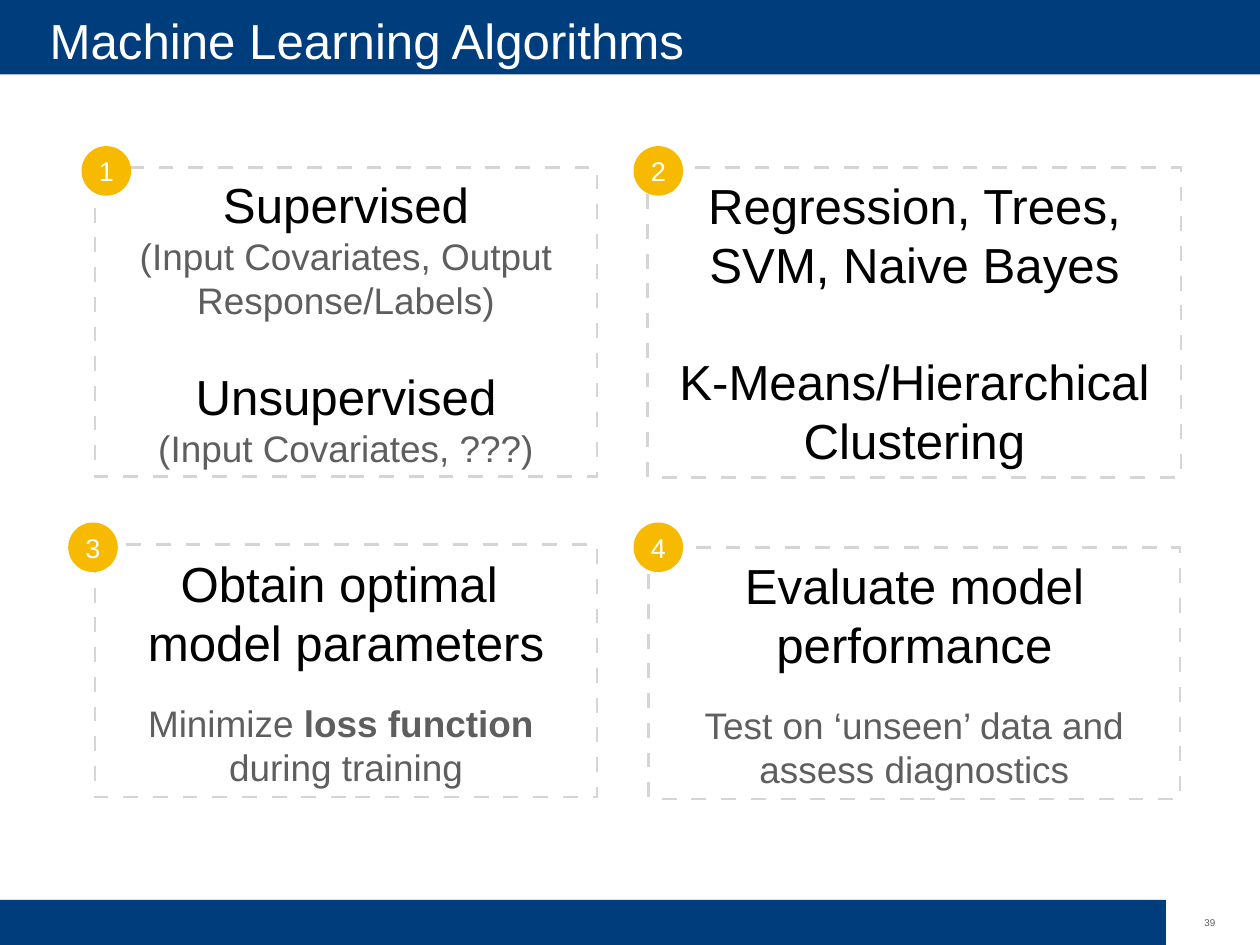
from dataclasses import dataclass
from typing import Optional

from lxml.etree import SubElement
from pptx import Presentation
from pptx.dml.color import RGBColor
from pptx.enum.shapes import MSO_SHAPE as Preset
from pptx.enum.text import MSO_ANCHOR as Anchor, PP_ALIGN as Align
from pptx.oxml.ns import qn
from pptx.shapes.autoshape import Shape
from pptx.slide import Slide
from pptx.text.text import TextFrame
from pptx.util import Inches, Pt

NAVY = RGBColor(0x00, 0x3D, 0x7C)
GOLD = RGBColor(0xF7, 0xBA, 0x01)
WHITE = RGBColor(0xFF, 0xFF, 0xFF)
BLACK = RGBColor(0x00, 0x00, 0x00)
GREY = RGBColor(0x5E, 0x5E, 0x5E)
PALE_GREY = RGBColor(0xD6, 0xD5, 0xD5)

FONT = "Arial"
HEADING_SIZE, DETAIL_SIZE = 40, 30
LINE_FACTOR = 1.2
BADGE_SIZE = 0.56


@dataclass(frozen=True)
class Line:
    text: str
    detail: bool = False
    gap: float = 0
    bold_tail: str = ""


@dataclass(frozen=True)
class Panel:
    left: float
    top: float
    width: float
    height: float
    badge_left: float
    badge_top: float
    lines: tuple[Line, ...]


PANELS = (
    Panel(1.07, 1.89, 5.67, 3.49, 0.92, 1.65, (
        Line("Supervised"),
        Line("(Input Covariates, Output Response/Labels)", detail=True),
        Line("Unsupervised", gap=36),
        Line("(Input Covariates, ???)", detail=True),
    )),
    Panel(7.31, 1.89, 6.02, 3.5, 7.15, 1.65, (
        Line("Regression, Trees, SVM, Naive Bayes"),
        Line("K-Means/Hierarchical Clustering", gap=47),
    )),
    Panel(1.07, 6.15, 5.67, 2.85, 0.77, 5.9, (
        Line("Obtain optimal "),
        Line("model parameters"),
        Line("Minimize ", detail=True, gap=24, bold_tail="loss function "),
        Line("during training", detail=True),
    )),
    Panel(7.32, 6.18, 6, 2.84, 7.15, 5.9, (
        Line("Evaluate model performance"),
        Line("Test on ‘unseen’ data and assess diagnostics", detail=True, gap=24),
    )),
)


def set_up_frame(frame: TextFrame, anchor: Anchor, wrap: bool = True,
                 side_margin: float = 0.06) -> None:
    frame.word_wrap = wrap
    frame.vertical_anchor = anchor
    frame.margin_left = frame.margin_right = Inches(side_margin)
    frame.margin_top = frame.margin_bottom = Inches(0.06)


def add_text(frame: TextFrame, text: str, *, size: float, color: RGBColor,
             align: Align = Align.CENTER, gap: float = 0, bold_tail: str = "",
             line_height: Optional[float] = None):
    """Fill the frame's empty first paragraph, or append a new one."""
    first = frame.paragraphs[0]
    paragraph = frame.add_paragraph() if first.runs else first
    paragraph.alignment = align
    if gap:
        paragraph.space_before = Pt(gap)
    if line_height:
        paragraph.line_spacing = Pt(line_height)
    for part, bold in ((text, False), (bold_tail, True)):
        if part:
            run = paragraph.add_run()
            run.text = part
            run.font.name = FONT
            run.font.size = Pt(size)
            run.font.bold = bold
            run.font.color.rgb = color
    return paragraph


def add_block(slide: Slide, preset: Preset, left: float, top: float,
              width: float, height: float, fill: Optional[RGBColor] = None) -> Shape:
    block = slide.shapes.add_shape(
        preset, Inches(left), Inches(top), Inches(width), Inches(height))
    block.shadow.inherit = False
    block.line.fill.background()
    if fill is None:
        block.fill.background()
    else:
        block.fill.solid()
        block.fill.fore_color.rgb = fill
    set_up_frame(block.text_frame, Anchor.MIDDLE)
    return block


def add_dashed_outline(block: Shape) -> None:
    block.line.color.rgb = PALE_GREY
    block.line.width = Pt(2)
    outline = block.line._get_or_add_ln()
    dashes = SubElement(outline, qn("a:custDash"))
    SubElement(dashes, qn("a:ds"), d="600000", sp="600000")
    SubElement(outline, qn("a:miter"), lim="400000")


def add_panel(slide: Slide, number: int, panel: Panel) -> None:
    box = add_block(slide, Preset.RECTANGLE,
                    panel.left, panel.top, panel.width, panel.height)
    add_dashed_outline(box)
    for line in panel.lines:
        size = DETAIL_SIZE if line.detail else HEADING_SIZE
        add_text(box.text_frame, line.text, size=size,
                 color=GREY if line.detail else BLACK, gap=line.gap,
                 bold_tail=line.bold_tail, line_height=size * LINE_FACTOR)
    badge = add_block(slide, Preset.OVAL, panel.badge_left, panel.badge_top,
                      BADGE_SIZE, BADGE_SIZE, GOLD)
    add_text(badge.text_frame, str(number), size=22, color=WHITE)


def add_title(slide: Slide, text: str) -> None:
    title = slide.shapes.title
    title.left, title.top = Inches(0), Inches(0)
    title.width, title.height = Inches(14.22), Inches(0.84)
    title.fill.solid()
    title.fill.fore_color.rgb = NAVY
    set_up_frame(title.text_frame, Anchor.BOTTOM)
    heading = add_text(title.text_frame, text, size=HEADING_SIZE,
                       color=WHITE, align=Align.LEFT)
    heading._p.get_or_add_pPr().set("indent", str(Inches(0.5)))


def add_page_number(slide: Slide, number: str) -> None:
    page_number = slide.shapes.add_textbox(
        Inches(13.54), Inches(10.29), Inches(0.23), Inches(0.25))
    set_up_frame(page_number.text_frame, Anchor.TOP, wrap=False, side_margin=0)
    add_text(page_number.text_frame, number, size=8, color=GREY)


def main() -> None:
    deck = Presentation()
    deck.slide_width, deck.slide_height = Inches(14.22), Inches(10.67)
    slide = deck.slides.add_slide(deck.slide_layouts[5])
    add_block(slide, Preset.RECTANGLE, 0, 10.16, 13.16, 0.51, NAVY)
    add_title(slide, "Machine Learning Algorithms")
    for number, panel in enumerate(PANELS, start=1):
        add_panel(slide, number, panel)
    add_page_number(slide, "39")
    deck.save("out.pptx")


if __name__ == "__main__":
    main()
